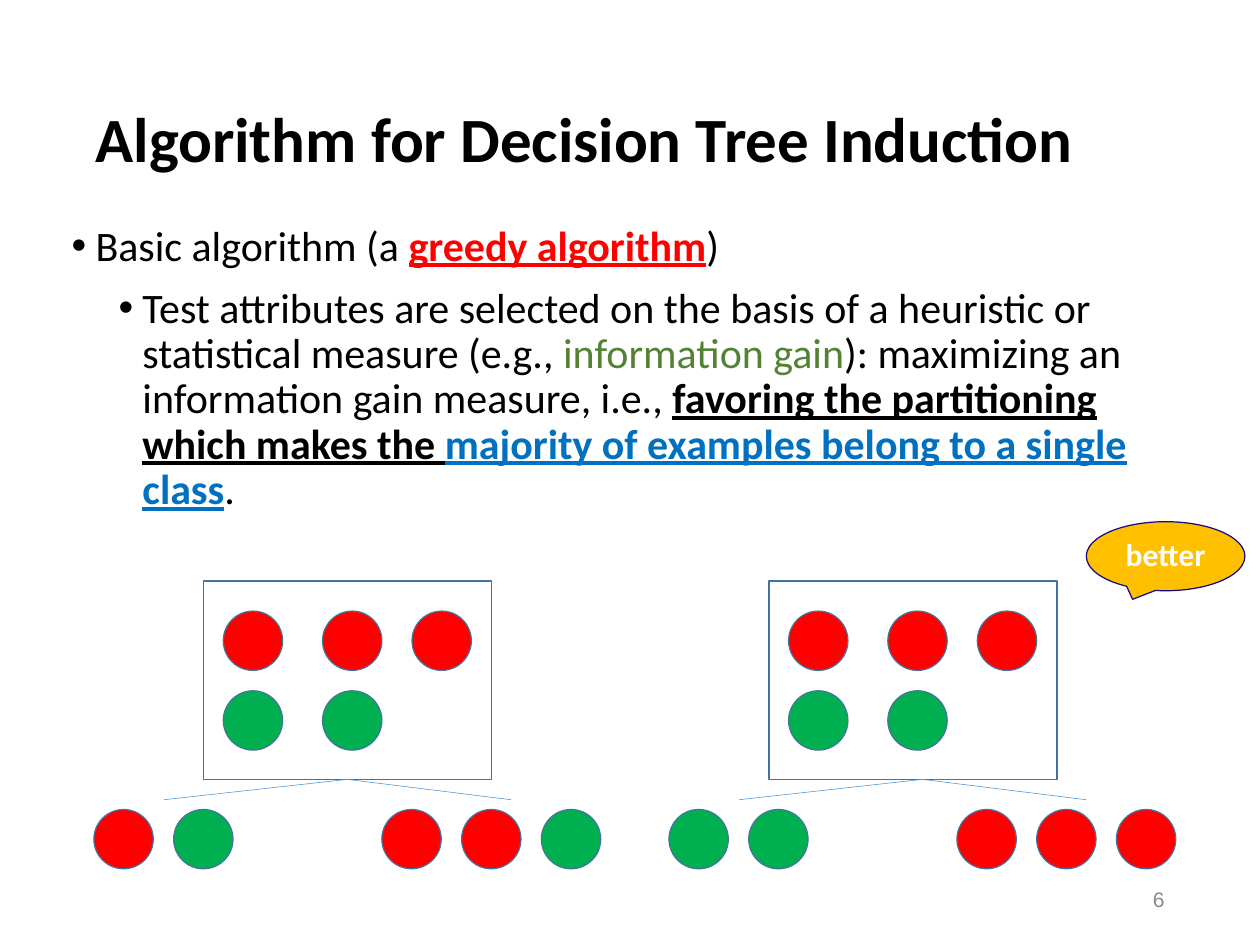
from lxml import etree
from pptx import Presentation
from pptx.dml.color import RGBColor
from pptx.enum.shapes import MSO_CONNECTOR, MSO_SHAPE
from pptx.enum.text import MSO_ANCHOR, PP_ALIGN
from pptx.oxml.ns import qn
from pptx.util import Emu, Pt

RECT = MSO_SHAPE.RECTANGLE
OVAL = MSO_SHAPE.OVAL
BUBBLE = MSO_SHAPE.OVAL_CALLOUT
STRAIGHT = MSO_CONNECTOR.STRAIGHT
TOP, MIDDLE = MSO_ANCHOR.TOP, MSO_ANCHOR.MIDDLE
LEFT, CENTER, RIGHT = PP_ALIGN.LEFT, PP_ALIGN.CENTER, PP_ALIGN.RIGHT

SCALE = 9144
BLACK, WHITE, GRAY = "000000", "FFFFFF", "898989"
RED, GREEN, OLIVE = "FF0000", "00B050", "548235"
BLUE, EDGE, BRANCH = "0070C0", "43739E", "5B9BD5"
GOLD, NAVY = "FFC000", "170981"
FILLS = {"R": RED, "G": GREEN}
DOT, STEP = 67, 90
COLS, ROWS = (22, 134, 235), (34, 124)
SAMPLE = ("RRR", "GG")

BASIC = [
    ("Basic algorithm (a ", BLACK, False),
    ("greedy algorithm", RED, True),
    (")", BLACK, False),
]
DETAIL = [
    ("Test attributes are selected on the basis of a heuristic or "
     "statistical measure (e.g., ", BLACK, False),
    ("information gain", OLIVE, False),
    ("): maximizing an information gain measure, i.e., ", BLACK, False),
    ("favoring the partitioning which makes the ", BLACK, True),
    ("majority of examples belong to a single class", BLUE, True),
    (".", BLACK, False),
]


def px(num):
    """Turn px into EMU."""
    return Emu(num * SCALE)


def paint(target, color):
    """Set a solid fill, line or font colour from a hex string."""
    target.rgb = RGBColor.from_string(color)


def style(run, size, color, bold=False, face="Calibri"):
    """Format one run."""
    font = run.font
    font.name, font.size, font.bold = face, Pt(size), bold
    paint(font.color, color)


def add_box(slide, x, y, w, h, anchor=TOP):
    """Add a wrapping text box and return its frame."""
    frame = slide.shapes.add_textbox(px(x), px(y), px(w), px(h)).text_frame
    frame.word_wrap = True
    frame.vertical_anchor = anchor
    return frame


def add_label(frame, text, size, color, bold, align, face="Calibri"):
    """Fill a frame with one line of text."""
    frame.text = text
    para = frame.paragraphs[0]
    para.alignment = align
    para.line_spacing = 0.9
    style(para.runs[0], size, color, bold, face)


def add_bullet(para, parts, margin, before):
    """Fill a paragraph with mixed runs behind a bullet."""
    para.line_spacing = 0.9
    para.space_before = Pt(before)
    for text, color, strong in parts:
        run = para.add_run()
        run.text = text
        style(run, 34.1, color, strong)
        run.font.underline = strong
    props = para._p.get_or_add_pPr()
    props.set("marL", str(px(margin)))
    props.set("indent", str(px(-27)))
    etree.SubElement(props, qn("a:buFont")).set("typeface", "Arial")
    etree.SubElement(props, qn("a:buChar")).set("char", "•")


def add_form(slide, kind, x, y, w, h, fill=None, edge=EDGE):
    """Add an outlined preset shape, filled if a colour is given."""
    shape = slide.shapes.add_shape(kind, px(x), px(y), px(w), px(h))
    shape.shadow.inherit = False
    if fill:
        shape.fill.solid()
        paint(shape.fill.fore_color, fill)
    else:
        shape.fill.background()
    paint(shape.line.color, edge)
    shape.line.width = Pt(1)
    return shape


def add_dot(slide, x, y, key):
    """Add one example as a coloured circle."""
    add_form(slide, OVAL, x, y, DOT, DOT, FILLS[key])


def add_branch(slide, x, y, end_x, end_y):
    """Add a thin line from a node to a leaf."""
    line = slide.shapes.add_connector(
        STRAIGHT, px(x), px(y), px(end_x), px(end_y))
    paint(line.line.color, BRANCH)
    line.line.width = Pt(0.5)
    etree.SubElement(line._element.spPr, qn("a:effectLst"))


def add_tree(slide, x, fork, leaves):
    """Add a root node with its sample and two leaf groups."""
    add_form(slide, RECT, x, 656, 325, 224)
    for top, keys in zip(ROWS, SAMPLE):
        for left, key in zip(COLS, keys):
            add_dot(slide, x + left, 656 + top, key)
    for end, start, keys in zip((-207, 185), (-286, 39), leaves):
        add_branch(slide, fork, 880, fork + end, 903)
        for i, key in enumerate(keys):
            add_dot(slide, fork + start + i * STEP, 914, key)


def main():
    """Build the slide and save it."""
    deck = Presentation()
    deck.slide_width, deck.slide_height = px(1422), px(1067)
    slide = deck.slides.add_slide(deck.slide_layouts[6])
    title = add_box(slide, 98, 57, 1227, 206, MIDDLE)
    add_label(title, "Algorithm for Decision Tree Induction",
              51.2, BLACK, True, LEFT)
    body = add_box(slide, 71, 249, 1280, 385)
    add_bullet(body.paragraphs[0], BASIC, 27, 0)
    add_bullet(body.add_paragraph(), DETAIL, 80, 13.5)
    number = add_box(slide, 1004, 989, 320, 57, MIDDLE)
    add_label(number, "6", 17.1, GRAY, False, RIGHT, "Arial")
    add_tree(slide, 230, 392, ("RG", "RRG"))
    add_tree(slide, 868, 1041, ("GG", "RRR"))
    bubble = add_form(slide, BUBBLE, 1226, 589, 179, 78, GOLD, NAVY)
    bubble.text_frame.vertical_anchor = MIDDLE
    add_label(bubble.text_frame, "better", 25.6, WHITE, True, CENTER)
    deck.save("out.pptx")


if __name__ == "__main__":
    main()
